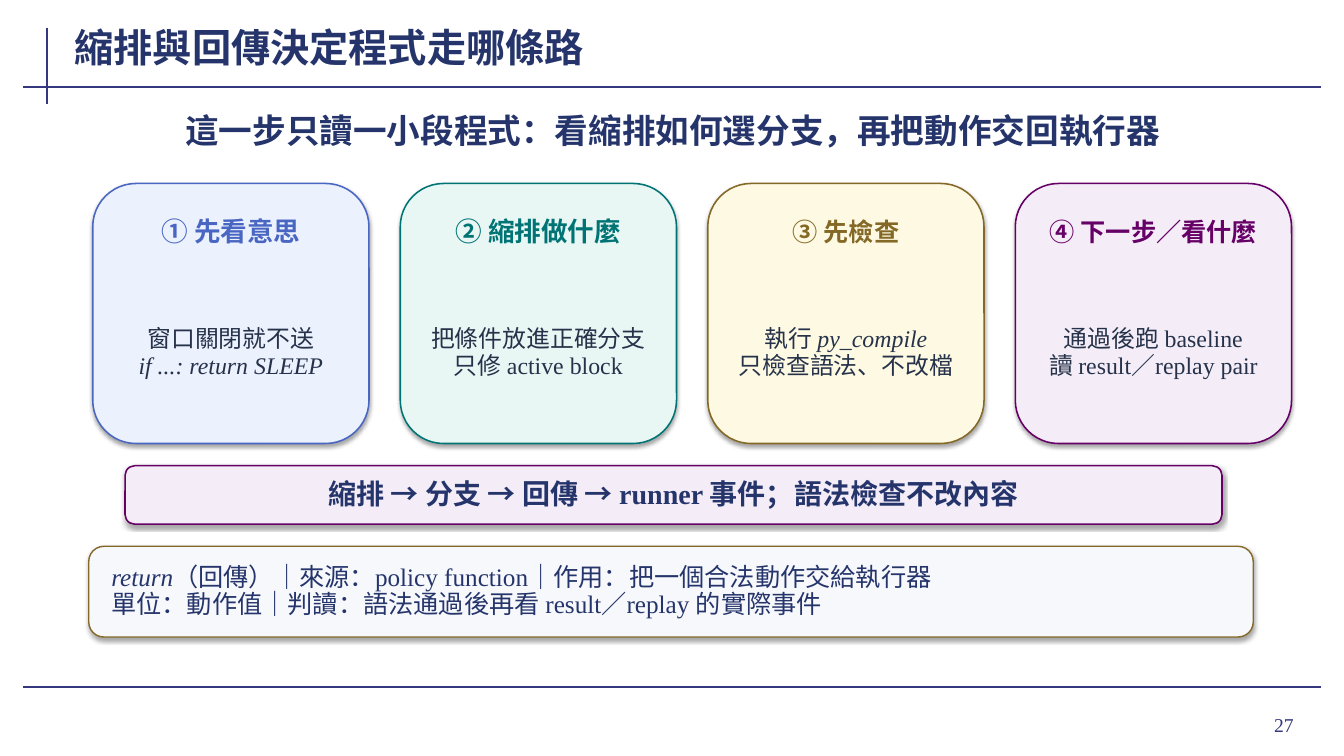
from dataclasses import dataclass

from lxml import etree
from pptx import Presentation
from pptx.dml.color import RGBColor
from pptx.enum import shapes, text
from pptx.oxml import ns
from pptx.util import Inches, Pt


@dataclass(frozen=True)
class Theme:
    font: str = "Times New Roman"
    rule: str = "35377F"
    navy: str = "25356B"
    ink: str = "25324A"
    blue: tuple = ("ECF1FE", "4967C2")
    teal: tuple = ("E8F7F4", "007374")
    gold: tuple = ("FDF9E2", "846826")
    plum: tuple = ("F4EDF7", "660066")
    pale: tuple = ("F7F8FC", "846826")
    title: int = 28
    lead: int = 24
    flow: int = 20
    note: int = 18
    body: int = 17
    page: int = 14


T = Theme()
LEFT, MID, RIGHT = text.PP_ALIGN.LEFT, text.PP_ALIGN.CENTER, text.PP_ALIGN.RIGHT

CARDS = [
    (T.blue, 19, "① 先看意思", "窗口關閉就不送\n*if ...: return SLEEP*"),
    (T.teal, 19, "② 縮排做什麼", "把條件放進正確分支\n只修 active block"),
    (T.gold, 18, "③ 先檢查", "執行 *py_compile*\n只檢查語法、不改檔"),
    (T.plum, 18, "④ 下一步／看什麼", "通過後跑 baseline\n讀 result／replay pair"),
]


def write(shape, words, size, color=T.navy, bold=False, align=MID, gap=1.0, pad=(0.02, 0)):
    """Fill a shape with text; *stars* mark italics and newlines part paragraphs."""
    frame = shape.text_frame
    frame.word_wrap = True
    frame.vertical_anchor = text.MSO_ANCHOR.MIDDLE
    frame.margin_left = frame.margin_right = Inches(pad[0])
    frame.margin_top = frame.margin_bottom = Inches(pad[1])
    for i, line in enumerate(words.split("\n")):
        para = frame.add_paragraph() if i else frame.paragraphs[0]
        para.alignment = align
        para.line_spacing = gap
        for j, part in enumerate(line.split("*")):
            if part:
                run = para.add_run()
                run.text = part
                font = run.font
                font.name, font.size, font.bold = T.font, Pt(size), bold
                font.italic = j % 2 == 1
                font.color.rgb = RGBColor.from_string(color)


def label(slide, box, words, size, **style):
    write(slide.shapes.add_textbox(*map(Inches, box)), words, size, **style)


def shade(shape):
    """Give the shape a soft shadow straight below it."""
    shape.shadow.inherit = False
    effects = shape._element.spPr.find(ns.qn("a:effectLst"))
    outer = etree.SubElement(effects, ns.qn("a:outerShdw"), blurRad=str(Pt(3.1)),
                             dist=str(Pt(1.8)), dir="5400000", rotWithShape="0")
    black = etree.SubElement(outer, ns.qn("a:srgbClr"), val="000000")
    etree.SubElement(black, ns.qn("a:alpha"), val="35000")


def panel(slide, box, colors, width=1.1):
    shape = slide.shapes.add_shape(shapes.MSO_SHAPE.ROUNDED_RECTANGLE, *map(Inches, box))
    fill, edge = colors
    shape.fill.solid()
    shape.fill.fore_color.rgb = RGBColor.from_string(fill)
    shape.line.color.rgb = RGBColor.from_string(edge)
    shape.line.width = Pt(width)
    shade(shape)
    return shape


def rule(slide, *ends):
    line = slide.shapes.add_connector(shapes.MSO_CONNECTOR.STRAIGHT, *map(Inches, ends))
    line.line.color.rgb = RGBColor.from_string(T.rule)
    line.line.width = Pt(1.5)
    etree.SubElement(line._element.spPr, ns.qn("a:effectLst"))


def frame(slide, box, title, page):
    """Draw the rules, the title and the page number."""
    x, y, w, h = box
    rule(slide, x + 0.24, y, x + 0.24, y + 0.75)
    for level in (y + 0.58, y + h):
        rule(slide, x, level, x + w, level)
    label(slide, (x + w - 1.14, y + h + 0.11, 0.97, 0.52), page, T.page,
          color=T.rule, align=RIGHT, pad=(0.1, 0.05))
    label(slide, (x + 0.49, y - 0.08, 10.35, 0.53), title, T.title, bold=True, align=LEFT)


def card(slide, box, colors, size, head, body):
    x, y, w, h = box
    panel(slide, box, colors)
    label(slide, (x + 0.16, y + 0.2, w - 0.32, 0.58), head, size,
          color=colors[1], bold=True, gap=0.92, pad=(0.03, 0.01))
    label(slide, (x + 0.18, y + 0.98, w - 0.36, h - 1.18), body, T.body,
          color=T.ink, gap=0.94, pad=(0.05, 0.01))


def row(slide, box, cards, gap=0.31):
    x, y, w, h = box
    wide = (w - gap * (len(cards) - 1)) / len(cards)
    for i, parts in enumerate(cards):
        card(slide, (x + i * (wide + gap), y, wide, h), *parts)


def flow(slide, box, words):
    write(panel(slide, box, T.plum), words, T.flow, bold=True, gap=0.95, pad=(0.12, 0.04))


def note(slide, box, words):
    write(panel(slide, box, T.pale, 1), words, T.note, align=LEFT, gap=0.9, pad=(0.18, 0.03))


def main():
    deck = Presentation()
    deck.slide_width, deck.slide_height = Inches(13.33), Inches(7.5)
    slide = deck.slides.add_slide(deck.slide_layouts[6])
    frame(slide, (0.23, 0.28, 12.87, 6.54), "縮排與回傳決定程式走哪條路", "27")
    label(slide, (1.02, 1.05, 11.3, 0.52),
          "這一步只讀一小段程式：看縮排如何選分支，再把動作交回執行器",
          T.lead, bold=True, gap=0.96)
    row(slide, (0.92, 1.82, 11.89, 2.58), CARDS)
    flow(slide, (1.24, 4.62, 10.88, 0.58),
         "縮排 → 分支 → 回傳 → runner 事件；語法檢查不改內容")
    note(slide, (0.88, 5.42, 11.55, 0.9),
         "*return*（回傳）｜來源：policy function｜作用：把一個合法動作交給執行器\n"
         "單位：動作值｜判讀：語法通過後再看 result／replay 的實際事件")
    deck.save("out.pptx")


if __name__ == "__main__":
    main()
